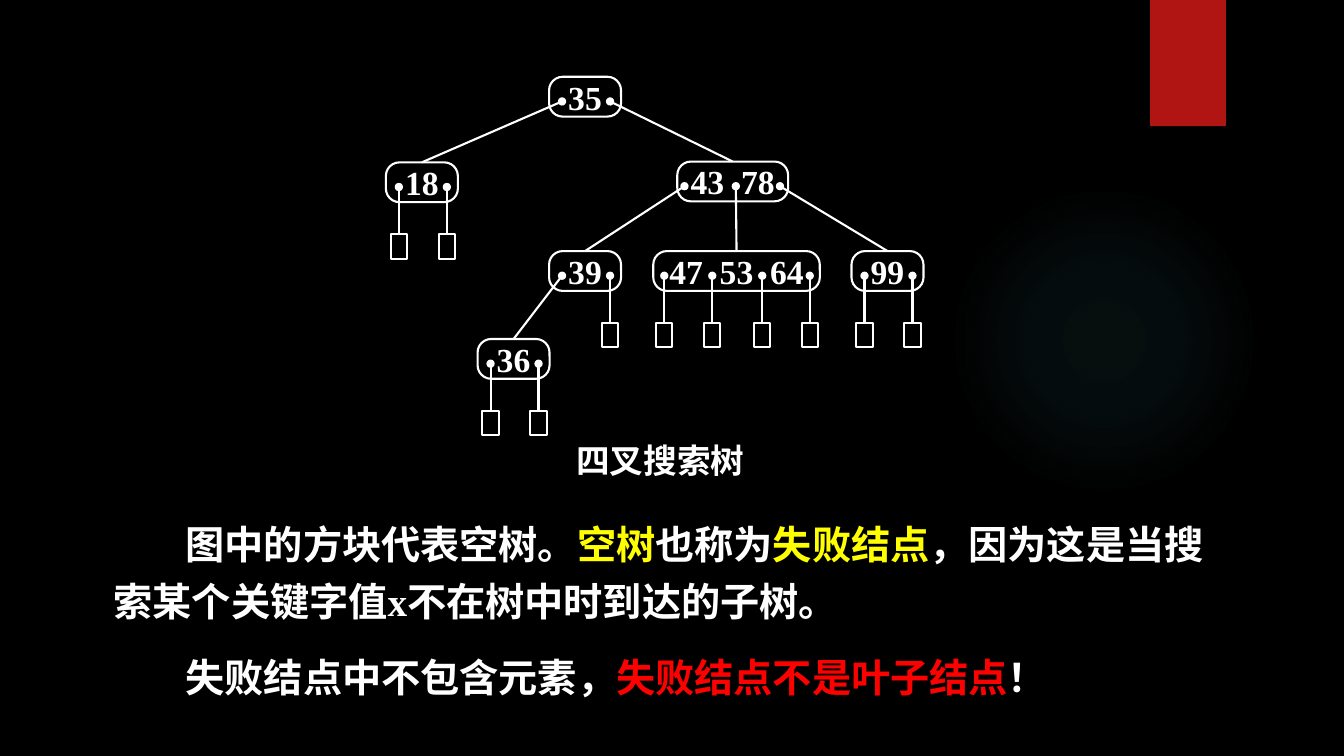
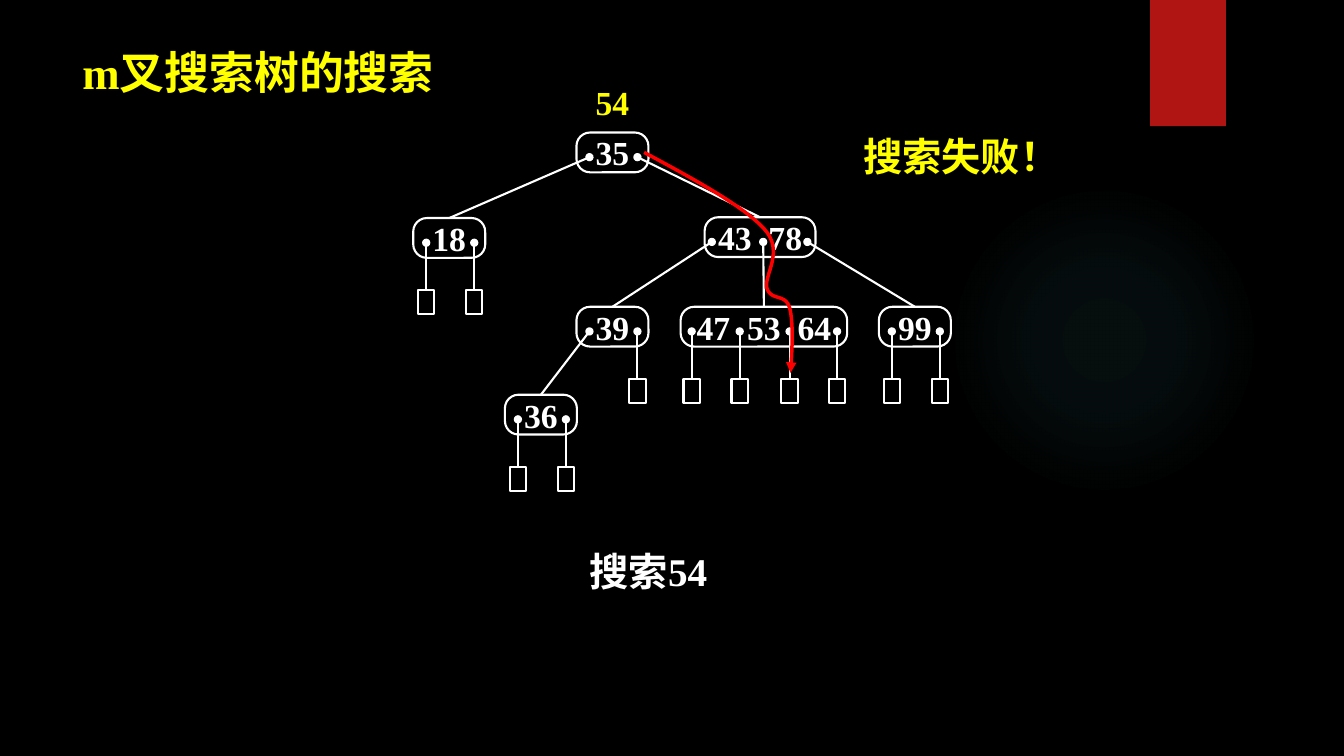
import pptx
import pptx.dml.color
import pptx.enum.shapes
import pptx.enum.text
import pptx.oxml
import pptx.oxml.ns
import pptx.util

WIDTH = pptx.util.Inches(13.33)
HEIGHT = pptx.util.Inches(7.5)
COLUMN = WIDTH / 28
ROW = HEIGHT / 19

COLORS = {
    "background": "000000",
    "text": "FFFFFF",
    "accent": "FFFF00",
    "warning": "FF0000",
    "tab": "B01513",
    "glow": "50B9C1",
}
LATIN_FONT = "Times New Roman"
CHINESE_FONT = "Noto Sans CJK SC"

LEAF = None
LEAF_TOP = 1.81
POINTER_DEPTH = 0.62
SINGLE_WIDTH = 1.5
SINGLE_POINTERS = (0.27, 1.27)
# fmt: off
TREE = {
    "35": (3.4, 0, SINGLE_WIDTH, SINGLE_POINTERS, ("18", "43 78")),
    "18": (0, 2.15, SINGLE_WIDTH, SINGLE_POINTERS, (LEAF, LEAF)),
    "43 78": (6.07, 2.13, 2.31, (0.15, 1.22, 2.14), ("39", "47 53 64", "99")),
    "39": (3.4, 4.38, SINGLE_WIDTH, SINGLE_POINTERS, ("36", LEAF)),
    "47 53 64": (5.57, 4.38, 3.47, (0.23, 1.23, 2.27, 3.26), (LEAF,) * 4),
    "99": (9.7, 4.38, SINGLE_WIDTH, SINGLE_POINTERS, (LEAF, LEAF)),
    "36": (1.91, 6.59, SINGLE_WIDTH, SINGLE_POINTERS, (LEAF, LEAF)),
}
SEARCH_START = (13.42, 3.83)
SEARCH_CURVES = (
    ((14.47, 4.51), (15.5, 5.19), (15.92, 5.75)),
    ((16.36, 6.33), (15.9, 6.92), (15.98, 7.25)),
    ((16.07, 7.57), (16.36, 7.37), (16.45, 7.73)),
    ((16.53, 8.08), (16.51, 8.74), (16.47, 9.37)),
)
# fmt: on
CURVE_STEPS = 16


def columns(count):
    return round(count * COLUMN)


def rows(count):
    return round(count * ROW)


def grid_box(left, top, width, height):
    return columns(left), rows(top), columns(width), rows(height)


def color(name):
    return pptx.dml.color.RGBColor.from_string(COLORS[name])


def drawing_xml(content):
    return pptx.oxml.parse_xml(content.replace(">", f" {pptx.oxml.ns.nsdecls('a')}>", 1))


def set_line(line, name, points, arrowhead=None):
    line.color.rgb = color(name)
    line.width = pptx.util.Pt(points)
    if arrowhead:
        end, kind = arrowhead
        line.color._xFill.getparent().append(drawing_xml(f'<a:{end} type="{kind}"></a:{end}>'))


def add_run(paragraph, text, size, name="text", latin=LATIN_FONT, spacing=None):
    run = paragraph.add_run()
    run.text = text
    run.font.size = pptx.util.Pt(size)
    run.font.bold = True
    run.font.name = latin
    run.font.color.rgb = color(name)
    properties = run.font._element
    properties.append(drawing_xml(f'<a:ea typeface="{CHINESE_FONT}"></a:ea>'))
    if spacing:
        properties.set("spc", str(spacing))


def add_text(slide, box, paragraphs, size, inset=True, centered=False, latin=LATIN_FONT):
    frame = slide.shapes.add_textbox(*grid_box(*box)).text_frame
    frame.word_wrap = True
    frame.auto_size = pptx.enum.text.MSO_AUTO_SIZE.SHAPE_TO_FIT_TEXT
    if not inset:
        frame.margin_left = frame.margin_right = 0
        frame.margin_top = frame.margin_bottom = 0
    for index, runs in enumerate(paragraphs):
        paragraph = frame.add_paragraph() if index else frame.paragraphs[0]
        if index:
            paragraph.space_before = pptx.util.Pt(size / 2)
        if centered:
            paragraph.alignment = pptx.enum.text.PP_ALIGN.CENTER
        for text, name in runs:
            add_run(paragraph, text, size, name, latin)
    return frame


def add_outline(slide, kind, box):
    shape = slide.shapes.add_shape(kind, *grid_box(*box))
    shape.shadow.inherit = False
    shape.fill.background()
    set_line(shape.line, "text", 1.5)
    return shape


def add_node(slide, keys, left, top, width):
    kind = pptx.enum.shapes.MSO_SHAPE.ROUNDED_RECTANGLE
    shape = add_outline(slide, kind, (left, top, width, 1))
    shape.adjustments[0] = 0.34
    frame = shape.text_frame
    frame.word_wrap = False
    frame.vertical_anchor = pptx.enum.text.MSO_ANCHOR.MIDDLE
    paragraph = frame.paragraphs[0]
    paragraph.alignment = pptx.enum.text.PP_ALIGN.CENTER
    for index, key in enumerate(keys.split()):
        if index:
            add_run(paragraph, " ", 24, spacing=600)
        add_run(paragraph, key, 24)


def add_leaf(slide, center, top):
    width = 0.34
    box = (center - width / 2, top, width, 0.61)
    add_outline(slide, pptx.enum.shapes.MSO_SHAPE.RECTANGLE, box)


def add_pointer(slide, start, end):
    connector = slide.shapes.add_connector(
        pptx.enum.shapes.MSO_CONNECTOR.STRAIGHT,
        columns(start[0]), rows(start[1]), columns(end[0]), rows(end[1]),
    )
    set_line(connector.line, "text", 1.5, ("headEnd", "oval"))
    connector.element.spPr.append(drawing_xml("<a:effectLst></a:effectLst>"))


def add_tree(slide, origin_left, origin_top):
    for keys, (left, top, width, pointers, children) in TREE.items():
        left += origin_left
        top += origin_top
        add_node(slide, keys, left, top, width)
        for offset, child in zip(pointers, children):
            start = (left + offset, top + POINTER_DEPTH)
            if child is LEAF:
                end = (start[0], top + LEAF_TOP)
                add_leaf(slide, *end)
            else:
                child_left, child_top, child_width = TREE[child][:3]
                end = (origin_left + child_left + child_width / 2, origin_top + child_top)
            add_pointer(slide, start, end)


def curve_points(start, curves):
    for first, second, end in curves:
        for step in range(1, CURVE_STEPS + 1):
            t = step / CURVE_STEPS
            weights = ((1 - t) ** 3, 3 * t * (1 - t) ** 2, 3 * t * t * (1 - t), t ** 3)
            corners = (start, first, second, end)
            x, y = (sum(w * c[axis] for w, c in zip(weights, corners)) for axis in (0, 1))
            yield columns(x), rows(y)
        start = end


def add_search_route(slide):
    builder = slide.shapes.build_freeform(columns(SEARCH_START[0]), rows(SEARCH_START[1]))
    builder.add_line_segments(curve_points(SEARCH_START, SEARCH_CURVES), close=False)
    shape = builder.convert_to_shape()
    shape.shadow.inherit = False
    shape.fill.background()
    set_line(shape.line, "warning", 2.5, ("tailEnd", "triangle"))


def decorate_master(master, slide):
    master.background.fill.solid()
    master.background.fill.fore_color.rgb = color("background")
    kinds = pptx.enum.shapes.MSO_SHAPE
    glow = slide.shapes.add_shape(kinds.OVAL, *grid_box(19.76, 4.64, 6.47, 7.8))
    tab = slide.shapes.add_shape(kinds.RECTANGLE, *grid_box(23.96, 0, 1.58, 3.17))
    for shape in (glow, tab):
        shape.shadow.inherit = False
        shape.line.fill.background()
        master.shapes.element.append(shape.element)
    tab.fill.solid()
    tab.fill.fore_color.rgb = color("tab")
    stops = "".join(
        f'<a:gs pos="{position}000"><a:srgbClr val="{COLORS["glow"]}">'
        f'<a:alpha val="{alpha}000"/></a:srgbClr></a:gs>'
        for position, alpha in ((0, 7), (36, 6), (69, 0))
    )
    gradient = drawing_xml(
        f'<a:gradFill><a:gsLst>{stops}</a:gsLst><a:path path="circle">'
        '<a:fillToRect l="50000" t="50000" r="50000" b="50000"/></a:path></a:gradFill>'
    )
    glow.element.spPr.find(pptx.oxml.ns.qn("a:prstGeom")).addnext(gradient)


def fill_definition_slide(slide):
    explanation = (
        (
            ("图中的方块代表空树。", "text"),
            ("空树", "accent"),
            ("也称为", "text"),
            ("失败结点", "accent"),
            ("，因为这是当搜索某个关键字值x不在树中时到达的子树。", "text"),
        ),
        (
            ("失败结点中不包含元素，", "text"),
            ("失败结点不是叶子结点", "warning"),
            ("！", "text"),
        ),
    )
    frame = add_text(slide, (2.16, 12.72, 23.67, 5.14), explanation, 28)
    for paragraph in frame.paragraphs:
        paragraph.line_spacing = 1.2
        paragraph._p.get_or_add_pPr().set("indent", str(columns(1.5)))
    add_tree(slide, 8.04, 1.93)
    add_text(slide, (11.8, 10.94, 6.45, 1.27), [[("四叉搜索树", "text")]], 24)


def fill_search_slide(slide):
    add_tree(slide, 8.61, 3.33)
    add_text(slide, (1.51, 0.99, 8.59, 1.62), [[("m叉搜索树的搜索", "accent")]], 32)
    add_text(slide, (12.08, 13.63, 3.4, 1.44), [[("搜索54", "text")]], 28)
    add_text(slide, (12.18, 2.05, 1.16, 1.01), [[("54", "accent")]], 24, False, True)
    add_text(
        slide, (17.96, 3.32, 4.14, 1.19), [[("搜索失败！", "accent")]], 28,
        False, True, CHINESE_FONT,
    )
    add_search_route(slide)


def main():
    presentation = pptx.Presentation()
    presentation.slide_width = WIDTH
    presentation.slide_height = HEIGHT
    blank = presentation.slide_layouts[6]
    definition = presentation.slides.add_slide(blank)
    search = presentation.slides.add_slide(blank)
    decorate_master(presentation.slide_master, definition)
    fill_definition_slide(definition)
    fill_search_slide(search)
    presentation.save("out.pptx")


if __name__ == "__main__":
    main()
